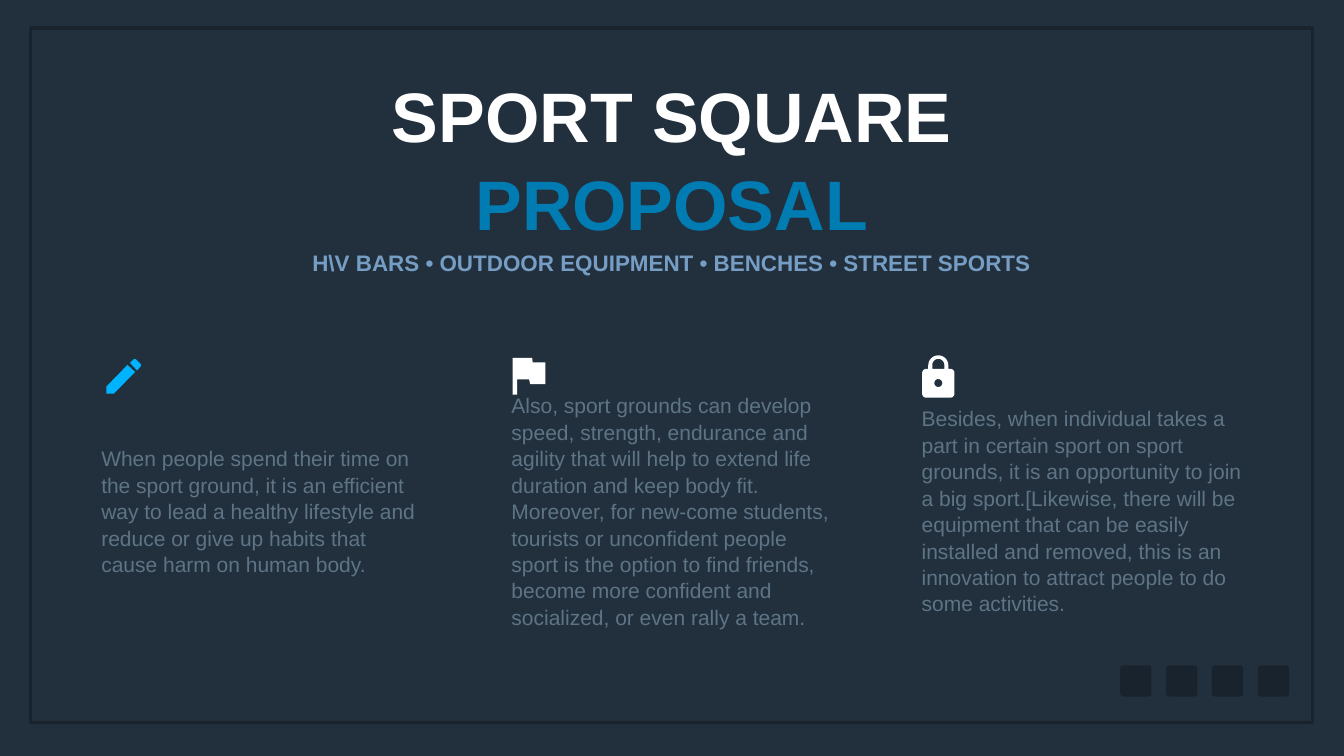
import math

import pptx
import pptx.dml.color
import pptx.enum.shapes
import pptx.enum.text
import pptx.util

Inches = pptx.util.Inches
RGBColor = pptx.dml.color.RGBColor
ALIGN = pptx.enum.text.PP_ALIGN
SHAPE = pptx.enum.shapes.MSO_SHAPE

NAVY = RGBColor(0x22, 0x30, 0x3E)
DARK = RGBColor(0x18, 0x23, 0x2D)
WHITE = RGBColor(0xFF, 0xFF, 0xFF)
BLUE = RGBColor(0x00, 0x7C, 0xB2)
STEEL = RGBColor(0x76, 0x9E, 0xC4)
SLATE = RGBColor(0x5E, 0x74, 0x84)
SKY = RGBColor(0x00, 0xB3, 0xFF)

COLUMN_LEFT, COLUMN_PITCH, COLUMN_WIDTH = 1.95, 8.14, 6.5

# Each column: top, height, lines
COLUMNS = [
    (8.81, 2.64, [
        "When people spend their time on the sport ground, it is an efficient "
        "way to lead a healthy lifestyle and reduce or give up habits that "
        "cause harm on human body."]),
    (7.8, 4.66, [
        "Also, sport grounds can develop",
        "speed, strength, endurance and",
        "agility that will help to extend life",
        "duration and keep body fit.",
        "Moreover, for new-come students,",
        "tourists or unconfident people",
        "sport is the option to find friends,",
        "become more confident and",
        "socialized, or even rally a team."]),
    (8.05, 4.15, [
        "Besides, when individual takes a",
        "part in certain sport on sport",
        "grounds, it is an opportunity to join",
        "a big sport.[Likewise, there will be",
        "equipment that can be easily",
        "installed and removed, this is an",
        "innovation to attract people to do",
        "some activities."]),
]


def place(s, left, top, width, height):
    s.left, s.top = Inches(left), Inches(top)
    s.width, s.height = Inches(width), Inches(height)


def write_text(s, lines, size, colors, bold=False, align=ALIGN.LEFT, wrap=True):
    """Fill a text shape, one paragraph a line; colors repeat over the lines."""
    tf = s.text_frame
    tf.word_wrap = wrap
    tf.auto_size = pptx.enum.text.MSO_AUTO_SIZE.NONE
    tf.vertical_anchor = pptx.enum.text.MSO_ANCHOR.MIDDLE
    tf.margin_left = tf.margin_right = Inches(0.06)
    tf.margin_top = tf.margin_bottom = Inches(0.06)
    for i, line in enumerate(lines):
        p = tf.paragraphs[0] if i == 0 else tf.add_paragraph()
        p.alignment = align
        p.line_spacing = 1.05
        p.space_before = pptx.util.Pt(0)
        r = p.add_run()
        r.text = line
        r.font.name = "Arial"
        r.font.size = pptx.util.Pt(size)
        r.font.bold = bold
        r.font.color.rgb = colors[i % len(colors)]


def add_text(slide, box, lines, **fmt):
    s = slide.shapes.add_textbox(0, 0, 0, 0)
    place(s, *box)
    write_text(s, lines, **fmt)


def add_box(slide, kind, box, fill=None, line=None, weight=0):
    s = slide.shapes.add_shape(kind, *map(Inches, box))
    s.shadow.inherit = False
    if fill is None:
        s.fill.background()
    else:
        s.fill.solid()
        s.fill.fore_color.rgb = fill
    if line is None:
        s.line.fill.background()
    else:
        s.line.color.rgb = line
        s.line.width = pptx.util.Pt(weight)
    return s


def arc(cx, cy, radius, start, end, steps=12):
    """Points on a circle, angles in degrees clockwise from the right."""
    angles = [math.radians(start + (end - start) * i / steps) for i in range(steps + 1)]
    return [(cx + radius * math.cos(a), cy + radius * math.sin(a)) for a in angles]


def add_icon(slide, contours, color):
    """Draw closed contours, given in inches, as one freeform."""
    contours = [[(x * 1000, y * 1000) for x, y in c] for c in contours]
    builder = slide.shapes.build_freeform(*contours[0][0], scale=Inches(1) / 1000)
    for i, contour in enumerate(contours):
        if i:
            builder.move_to(*contour[0])
        builder.add_line_segments(contour[1:], close=True)
    s = builder.convert_to_shape()
    s.shadow.inherit = False
    s.fill.solid()
    s.fill.fore_color.rgb = color
    s.line.fill.background()


def add_pencil(slide):
    body = [(2.11, 7.67), (2.11, 7.81), (2.26, 7.81), (2.68, 7.38), (2.53, 7.24)]
    tip = [(2.58, 7.2), (2.65, 7.13), (2.67, 7.12), (2.7, 7.13), (2.79, 7.22),
           (2.8, 7.24), (2.79, 7.27), (2.72, 7.35)]
    add_icon(slide, [body, tip], SKY)


def add_flag(slide):
    add_icon(slide, [[(10.57, 7.19), (10.56, 7.1), (10.17, 7.1), (10.17, 7.83),
                      (10.26, 7.83), (10.26, 7.53), (10.5, 7.53), (10.52, 7.62),
                      (10.82, 7.62), (10.82, 7.19)]], WHITE)


def add_lock(slide):
    cx = 18.62
    outline = (arc(cx, 7.25, 0.2, 180, 360) + [(18.82, 7.32)]
               + arc(18.86, 7.4, 0.08, -90, 0) + arc(18.86, 7.81, 0.08, 0, 90)
               + arc(18.38, 7.81, 0.08, 90, 180) + arc(18.38, 7.4, 0.08, 180, 270)
               + [(18.42, 7.32)])
    shackle_gap = arc(cx, 7.24, 0.12, 360, 180) + [(18.5, 7.32), (18.74, 7.32)]
    keyhole = arc(cx, 7.6, 0.08, 360, 0, 24)
    add_icon(slide, [outline, shackle_gap, keyhole], WHITE)


def main():
    prs = pptx.Presentation()
    prs.slide_width, prs.slide_height = Inches(26.67), Inches(15)
    slide = prs.slides.add_slide(prs.slide_layouts[5])

    # Backdrop and frame
    slide.background.fill.solid()
    slide.background.fill.fore_color.rgb = NAVY
    add_box(slide, SHAPE.RECTANGLE, (0.61, 0.56, 25.44, 13.78), line=DARK, weight=5)

    # Plain tiles in the corner
    for i in range(4):
        tile = add_box(slide, SHAPE.ROUNDED_RECTANGLE,
                       (22.23 + 0.91 * i, 13.2, 0.62, 0.62), fill=DARK)
        tile.adjustments[0] = 0.1

    # Title and subtitle
    place(slide.shapes.title, 7.66, 1.37, 11.34, 3.48)
    write_text(slide.shapes.title, ["SPORT SQUARE", "PROPOSAL"], size=100,
               colors=[WHITE, BLUE], bold=True, align=ALIGN.CENTER, wrap=False)
    add_text(slide, (6.08, 4.88, 14.5, 0.65),
             ["H\\V BARS • OUTDOOR EQUIPMENT • BENCHES • STREET SPORTS"],
             size=32, colors=[STEEL], bold=True, align=ALIGN.CENTER, wrap=False)

    # Three columns of text with an icon above each
    for i, (top, height, lines) in enumerate(COLUMNS):
        left = COLUMN_LEFT + COLUMN_PITCH * i
        add_text(slide, (left, top, COLUMN_WIDTH, height), lines,
                 size=30, colors=[SLATE])
    add_pencil(slide)
    add_flag(slide)
    add_lock(slide)

    prs.save("out.pptx")


if __name__ == "__main__":
    main()
